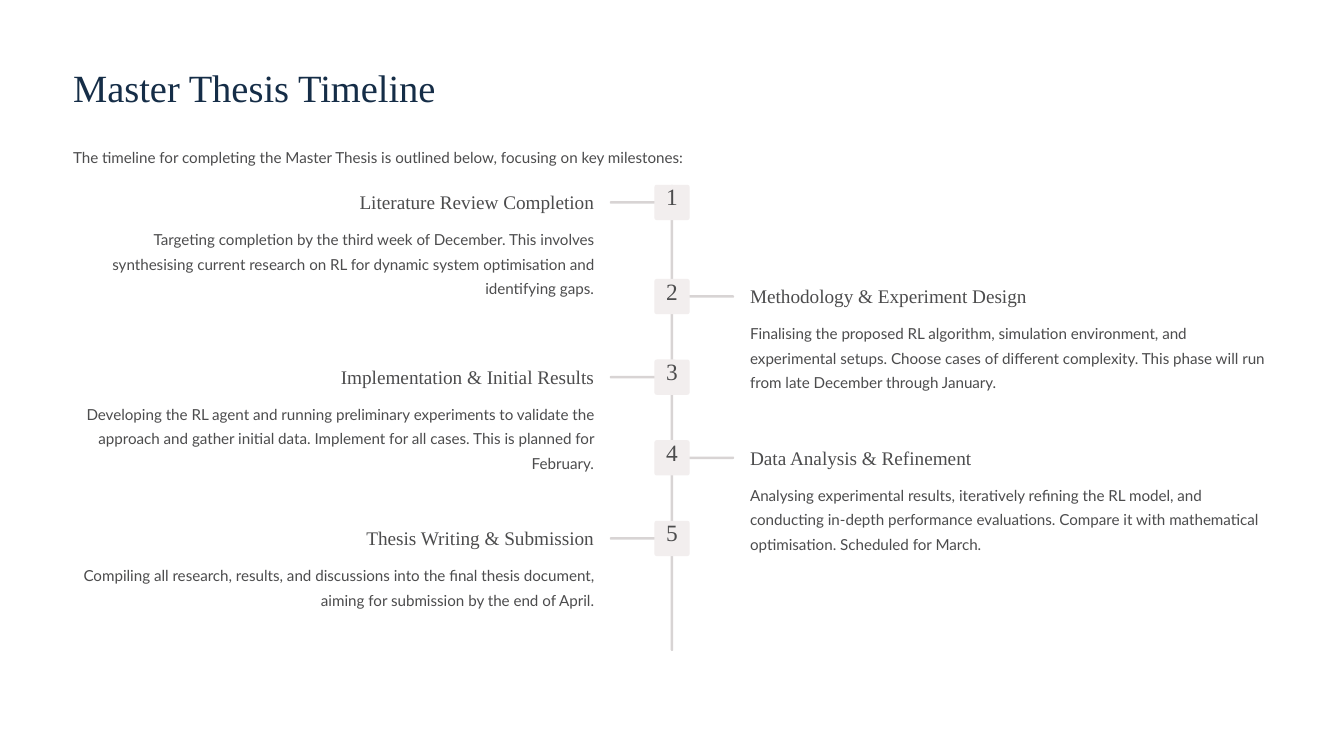
from pptx import Presentation
from pptx.dml.color import RGBColor
from pptx.enum.shapes import MSO_SHAPE
from pptx.enum.text import PP_ALIGN
from pptx.util import Inches, Pt

ROUNDED = MSO_SHAPE.ROUNDED_RECTANGLE
LEFT, CENTER, RIGHT = PP_ALIGN.LEFT, PP_ALIGN.CENTER, PP_ALIGN.RIGHT

NAVY = RGBColor(0x15, 0x2D, 0x47)
GRAY = RGBColor(0x4C, 0x4C, 0x4D)
LINE_GRAY = RGBColor(0xD8, 0xD4, 0xD4)
BADGE_GRAY = RGBColor(0xF2, 0xEE, 0xEE)
SERIF, SANS = "Times New Roman", "Lato"

# Layout in inches, mirrored around the central axis
SLIDE_W, SLIDE_H = 16, 9
AXIS = SLIDE_W / 2
MARGIN = 0.87
COLUMN_W = 6.2
COLUMN_EDGE = 0.93  # distance from the axis to a text column
BADGE = 0.42
BRANCH_W, BRANCH_EDGE = 0.56, 0.18
LINE_W = 0.03
TIMELINE_TOP, TIMELINE_H = 2.2, 5.55
FIRST_STEP, STEP = 1.12, 0.96

# Heading, heading width, description, description height
MILESTONES = [
    ("Literature Review Completion", 2.9,
     "Targeting completion by the third week of December. This involves "
     "synthesising current research on RL for dynamic system optimisation "
     "and identifying gaps.", 0.89),
    ("Methodology & Experiment Design", 3.4,
     "Finalising the proposed RL algorithm, simulation environment, and "
     "experimental setups. Choose cases of different complexity. This phase "
     "will run from late December through January.", 0.89),
    ("Implementation & Initial Results", 3.17,
     "Developing the RL agent and running preliminary experiments to validate "
     "the approach and gather initial data. Implement for all cases. This is "
     "planned for February.", 0.89),
    ("Data Analysis & Refinement", 2.69,
     "Analysing experimental results, iteratively refining the RL model, and "
     "conducting in-depth performance evaluations. Compare it with "
     "mathematical optimisation. Scheduled for March.", 0.89),
    ("Thesis Writing & Submission", 2.81,
     "Compiling all research, results, and discussions into the final thesis "
     "document, aiming for submission by the end of April.", 0.6),
]


def add_text(slide, text, left, top, width, height, size, spacing,
             font=SERIF, color=GRAY, align=LEFT, wrap=False):
    box = slide.shapes.add_textbox(*map(Inches, (left, top, width, height)))
    frame = box.text_frame
    frame.margin_left = frame.margin_right = 0
    frame.margin_top = frame.margin_bottom = 0
    frame.word_wrap = wrap
    paragraph = frame.paragraphs[0]
    paragraph.text = text
    paragraph.alignment = align
    paragraph.line_spacing = Pt(spacing)
    paragraph.font.name = font
    paragraph.font.size = Pt(size)
    paragraph.font.color.rgb = color


def add_block(slide, left, top, width, height, color, rounding=0.5):
    block = slide.shapes.add_shape(
        ROUNDED, *map(Inches, (left, top, width, height)))
    block.adjustments[0] = rounding
    block.shadow.inherit = False
    block.fill.solid()
    block.fill.fore_color.rgb = color
    block.line.fill.background()


def beside_axis(on_left, distance, width):
    """Left edge of an element that starts at a distance from the axis."""
    return AXIS - distance - width if on_left else AXIS + distance


def add_milestone(slide, number, top, heading, heading_w, description, height):
    on_left = number % 2 == 1
    align = RIGHT if on_left else LEFT

    # Branch and numbered badge
    add_block(slide, beside_axis(on_left, BRANCH_EDGE, BRANCH_W),
              top + (BADGE - LINE_W) / 2, BRANCH_W, LINE_W, LINE_GRAY)
    add_block(slide, AXIS - BADGE / 2, top, BADGE, BADGE, BADGE_GRAY, 0.07)
    add_text(slide, str(number), AXIS - 0.14, top + 0.03, 0.28, 0.35,
             20, 20, align=CENTER)

    # Heading and description
    add_text(slide, heading, beside_axis(on_left, COLUMN_EDGE, heading_w),
             top + 0.06, heading_w, 0.29, 16.5, 20.5, align=align)
    add_text(slide, description, beside_axis(on_left, COLUMN_EDGE, COLUMN_W),
             top + 0.47, COLUMN_W, height, 13, 21, SANS, align=align, wrap=True)


def main():
    prs = Presentation()
    prs.slide_width, prs.slide_height = Inches(SLIDE_W), Inches(SLIDE_H)
    slide = prs.slides.add_slide(prs.slide_layouts[6])

    # Title and introduction
    add_text(slide, "Master Thesis Timeline", MARGIN, 0.74, 4.65, 0.58,
             33, 41.5, color=NAVY)
    add_text(slide, "The timeline for completing the Master Thesis is outlined "
             "below, focusing on key milestones:", MARGIN, 1.69,
             SLIDE_W - 2 * MARGIN, 0.3, 13, 21, SANS)

    # Timeline
    add_block(slide, AXIS - LINE_W / 2, TIMELINE_TOP, LINE_W, TIMELINE_H,
              LINE_GRAY)
    top = TIMELINE_TOP
    for number, milestone in enumerate(MILESTONES, start=1):
        add_milestone(slide, number, top, *milestone)
        top += FIRST_STEP if number == 1 else STEP

    prs.save("out.pptx")


if __name__ == "__main__":
    main()
